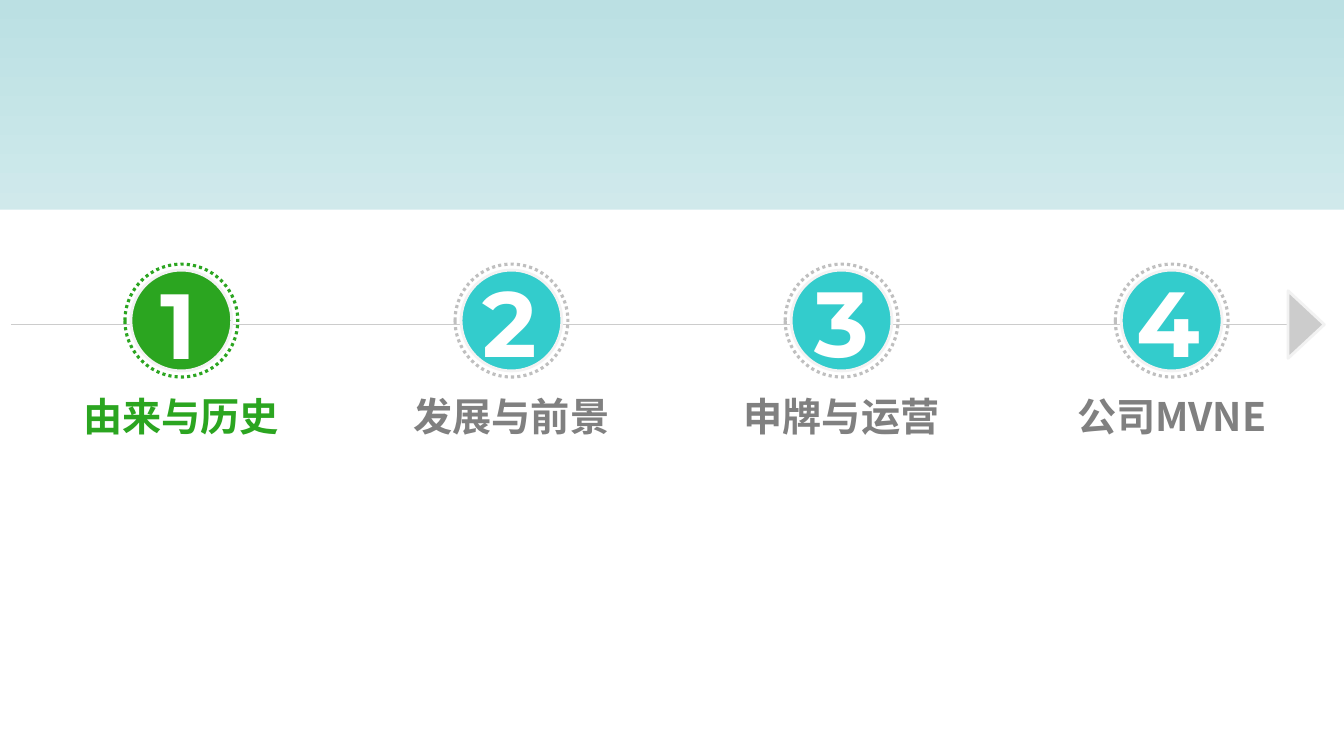
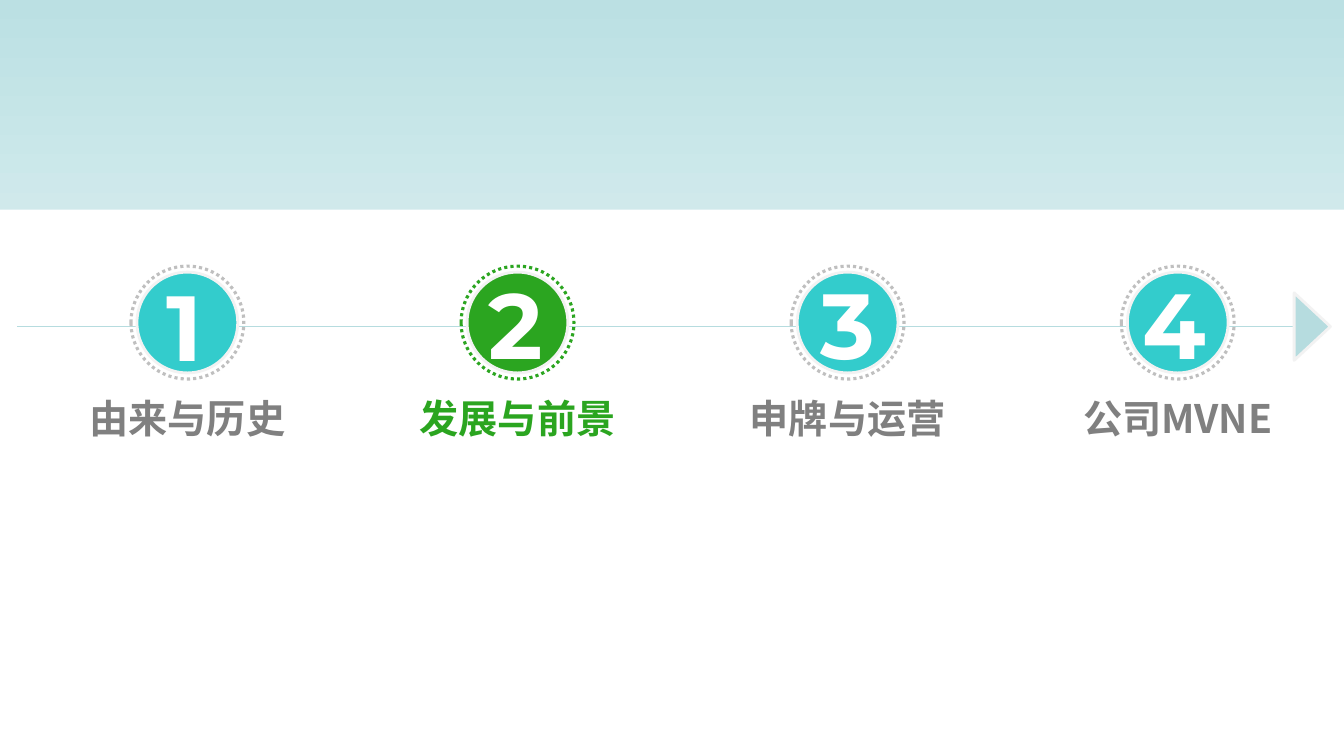
from lxml import etree
from pptx import Presentation
from pptx import util as u
from pptx.dml.color import RGBColor
from pptx.enum import dml, shapes, text
from pptx.oxml.ns import qn

COLORS = {
    "band": "BBE0E3", "white": "FFFFFF", "active": "2BA520", "badge": "33CCCC",
    "rim": "F2F2F2", "ring": "BFBFBF", "label": "808080",
    "gray_axis": "CCCCCC", "teal_axis": "B6DCDF",
}
WIDTH, HEIGHT = 13.34, 7.5
BADGE, RING_GAP = 1, 0.06
FIRST_LEFT, LAST_LEFT, BADGE_TOP = 1.3, 11.13, 2.68
NUMBER = {"size": u.Pt(66), "name": "Montserrat", "bold": True}
LABEL = {"size": u.Pt(28), "name": "Noto Sans CJK SC", "bold": True}

# label, then the offset of the numeral's box from its badge
STEPS = [
    ("由来与历史", 0.06, -0.08),
    ("发展与前景", 0.07, -0.1),
    ("申牌与运营", 0.09, -0.1),
    ("公司MVNE", 0.05, -0.1),
]
# active step, axis colour, shift of the whole timeline
AGENDAS = [(1, "gray_axis", 0, 0), (2, "teal_axis", 0.06, 0.02)]


def rgb(color):
    return RGBColor.from_string(COLORS[color])


def add_shape(parent, kind, box, fill=None, line=None, weight=2):
    shape = parent.shapes.add_shape(kind, *map(u.Inches, box))
    shape.shadow.inherit = False
    if fill:
        shape.fill.solid()
        shape.fill.fore_color.rgb = rgb(fill)
    else:
        shape.fill.background()
    if line:
        shape.line.color.rgb = rgb(line)
        shape.line.width = u.Pt(weight)
    else:
        shape.line.fill.background()
    return shape


def add_text(parent, box, content, style, color, wrap):
    frame = parent.shapes.add_textbox(*map(u.Inches, box)).text_frame
    frame.word_wrap = wrap
    frame.auto_size = text.MSO_AUTO_SIZE.SHAPE_TO_FIT_TEXT
    paragraph = frame.paragraphs[0]
    paragraph.alignment = text.PP_ALIGN.CENTER
    run = paragraph.add_run()
    run.text = content
    for name, value in style.items():
        setattr(run.font, name, value)
    run.font.color.rgb = rgb(color)
    properties = run.font._element
    etree.SubElement(properties, qn("a:ea"), typeface=style["name"])


def add_master_bands(presentation, slide):
    """Draw the bands on a slide, then move them to the slide master."""
    rectangle = shapes.MSO_SHAPE.RECTANGLE
    band = add_shape(slide, rectangle, (0, 0, WIDTH, 6.5))
    band.fill.gradient()
    band.fill.gradient_angle = 270
    for stop, position, color in zip(band.fill.gradient_stops, (0, 1), ("band", "white")):
        stop.position = position
        stop.color.rgb = rgb(color)
    panel = add_shape(slide, rectangle, (0, 2.08, WIDTH, HEIGHT - 2.08), "white")
    for shape_id, shape in enumerate((band, panel), start=100):
        shape.element.nvSpPr.cNvPr.set("id", str(shape_id))
        presentation.slide_master.shapes.element.append(shape.element)


def add_axis(slide, color, dx, dy):
    y = u.Inches(3.22 + dy)
    axis = slide.shapes.add_connector(
        shapes.MSO_CONNECTOR.STRAIGHT, u.Inches(0.11 + dx), y, u.Inches(13.11 + dx), y)
    axis.line.color.rgb = rgb(color)
    axis.line.width = u.Pt(1)
    etree.SubElement(axis.line._get_or_add_ln(), qn("a:tailEnd"), type="triangle")
    etree.SubElement(axis.element.spPr, qn("a:effectLst"))
    head = add_shape(slide, shapes.MSO_SHAPE.ISOSCELES_TRIANGLE,
                     (12.63 + dx, 3.04 + dy, 0.67, 0.36), color, "rim")
    head.rotation = 90


def add_step(slide, number, step, left, top, active):
    label, number_dx, number_dy = step
    group = slide.shapes.add_group_shape()
    oval = shapes.MSO_SHAPE.OVAL
    add_shape(group, oval, (left, top, BADGE, BADGE), "active" if active else "badge", "rim")
    ring_size = BADGE + 2 * RING_GAP
    ring = add_shape(group, oval, (left - RING_GAP, top - RING_GAP, ring_size, ring_size),
                     line="active" if active else "ring", weight=2.25)
    ring.line.dash_style = dml.MSO_LINE.ROUND_DOT
    add_text(group, (left + number_dx, top + number_dy, 0.82, 1.21),
             str(number), NUMBER, "white", wrap=False)
    add_text(group, (left - 1, top + 1.16, 3, 0.57),
             label, LABEL, "active" if active else "label", wrap=True)


def add_agenda(slide, active, axis_color, dx, dy):
    add_axis(slide, axis_color, dx, dy)
    pitch = (LAST_LEFT - FIRST_LEFT) / (len(STEPS) - 1)
    for index, step in enumerate(STEPS):
        left = FIRST_LEFT + index * pitch + dx
        add_step(slide, index + 1, step, left, BADGE_TOP + dy, index + 1 == active)


def main():
    presentation = Presentation()
    presentation.slide_width = u.Inches(WIDTH)
    presentation.slide_height = u.Inches(HEIGHT)
    blank = presentation.slide_layouts[6]
    slides = [presentation.slides.add_slide(blank) for _ in AGENDAS]
    add_master_bands(presentation, slides[0])
    for slide, agenda in zip(slides, AGENDAS):
        add_agenda(slide, *agenda)
    presentation.save("out.pptx")


if __name__ == "__main__":
    main()
